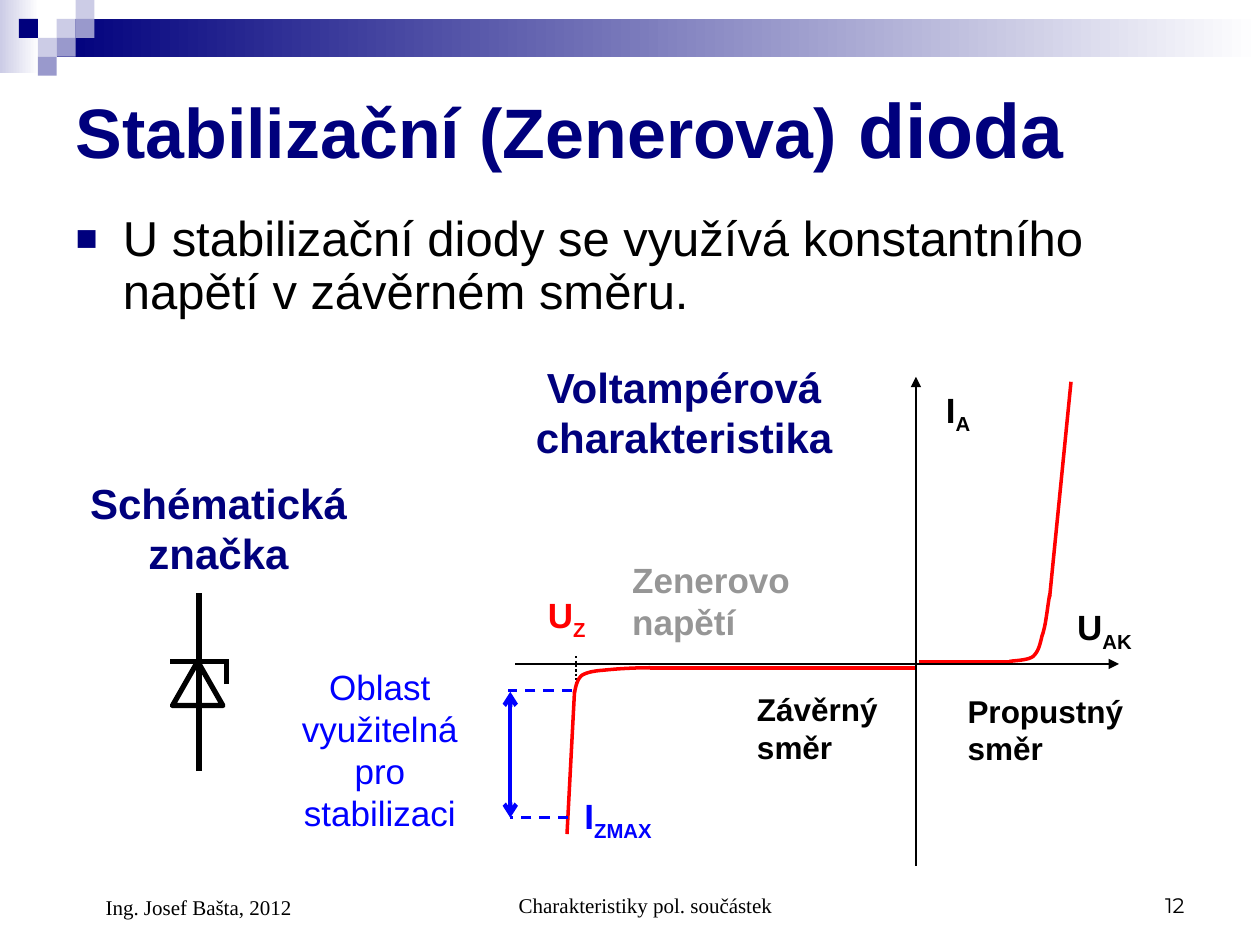
from lxml import etree
from pptx import Presentation
from pptx.dml.color import RGBColor
from pptx.enum.dml import MSO_LINE_DASH_STYLE as Dash
from pptx.enum.shapes import MSO_CONNECTOR as Connector, MSO_SHAPE as Shape
from pptx.enum.text import MSO_ANCHOR as Anchor, MSO_AUTO_SIZE as AutoSize, PP_ALIGN as Align
from pptx.oxml.ns import qn
from pptx.util import Pt

COLORS = {
    "navy": "00007D", "violet": "9999CC", "pale": "CCCCE6", "white": "FFFFFF",
    "black": "000000", "red": "FF0000", "blue": "0000FF", "gray": "969696",
}
FORMATS = {
    "title": {"name": "Arial", "size": Pt(40), "bold": True},
    "body": {"name": "Arial", "size": Pt(28), "bold": False},
    "heading": {"name": "Arial", "size": Pt(24), "bold": True},
    "label": {"name": "Arial", "size": Pt(20), "bold": True},
    "note": {"name": "Arial", "size": Pt(20), "bold": False},
    "direction": {"name": "Arial", "size": Pt(18), "bold": True},
    "footer": {"name": "Times New Roman", "size": Pt(12), "bold": False},
    "number": {"name": "Montserrat", "size": Pt(12), "bold": False},
}
CELL = 10.8


def rgb(color):
    return RGBColor.from_string(COLORS[color])


def points(values):
    return [Pt(value) for value in values]


def bezier(start, *curves, steps=8):
    """Sample a chain of cubic curves, each given by two controls and an end."""
    samples = [start]
    for first, second, end in curves:
        for step in range(1, steps + 1):
            t = step / steps
            weights = ((1 - t) ** 3, 3 * t * (1 - t) ** 2, 3 * t * t * (1 - t), t ** 3)
            knots = (start, first, second, end)
            samples.append(tuple(sum(w * knot[axis] for w, knot in zip(weights, knots))
                                 for axis in (0, 1)))
        start = end
    return samples


class SlideWriter:
    """Holds the text formats, the colours and the current slide."""

    def __init__(self, page):
        self.page = page

    def place(self, shape, at):
        for name, value in zip(("left", "top", "width", "height"), points(at)):
            setattr(shape, name, value)

    def span(self, para, text, style, color, **changes):
        span = para.add_run()
        span.text = text
        for name, value in {**FORMATS[style], **changes}.items():
            setattr(span.font, name, value)
        span.font.color.rgb = rgb(color)
        return span

    def frame(self, box, anchor, auto_size=AutoSize.NONE, align=Align.LEFT):
        settings = {"word_wrap": True, "vertical_anchor": anchor, "auto_size": auto_size}
        for name, value in settings.items():
            setattr(box.text_frame, name, value)
        para = box.text_frame.paragraphs[0]
        para.alignment = align
        para.space_before = Pt(0)
        return para

    def title(self, at, main, ending):
        box = self.page.shapes.title
        self.place(box, at)
        para = self.frame(box, Anchor.MIDDLE)
        self.span(para, main, "title", "navy")
        self.span(para, ending, "title", "navy", size=Pt(44))

    def body(self, at, text):
        box = self.page.placeholders[1]
        self.place(box, at)
        para = self.frame(box, Anchor.TOP)
        para.line_spacing = 0.9
        props = para._p.get_or_add_pPr()
        props.set("marL", str(Pt(27)))
        props.set("indent", str(Pt(-27)))
        bullet_color = etree.SubElement(props, qn("a:buClr"))
        etree.SubElement(bullet_color, qn("a:srgbClr"), val=COLORS["navy"])
        etree.SubElement(props, qn("a:buSzPct"), val="75000")
        etree.SubElement(props, qn("a:buFont"), typeface="Arial")
        etree.SubElement(props, qn("a:buChar"), char="■")
        self.span(para, text, "body", "black")

    def text(self, at, text, style, color, sub="", align=Align.LEFT):
        box = self.page.shapes.add_textbox(*points(at))
        para = self.frame(box, Anchor.TOP, AutoSize.SHAPE_TO_FIT_TEXT, align)
        self.span(para, text, style, color)
        if sub:
            lowered = self.span(para, sub, style, color)
            lowered.font._element.set("baseline", "-25000")

    def footer(self, at, text, style="footer", align=Align.LEFT, indent=0):
        box = self.page.shapes.add_textbox(*points(at))
        para = self.frame(box, Anchor.BOTTOM, align=align)
        para._p.get_or_add_pPr().set("marL", str(Pt(indent)))
        self.span(para, text, style, "black")

    def block(self, at, color, fade_to=None):
        """Draw a borderless rectangle, optionally fading to the right."""
        block = self.page.shapes.add_shape(Shape.RECTANGLE, *points(at))
        block.shadow.inherit = False
        block.line.fill.background()
        if fade_to:
            block.fill.gradient()
            block.fill.gradient_angle = 0
            for stop, name in zip(block.fill.gradient_stops, (color, fade_to)):
                stop.color.rgb = rgb(name)
        else:
            block.fill.solid()
            block.fill.fore_color.rgb = rgb(color)

    def outline(self, shape, color, width):
        shape.shadow.inherit = False
        shape.fill.background()
        shape.line.color.rgb = rgb(color)
        shape.line.width = Pt(width)

    def triangle(self, at, color, width):
        shape = self.page.shapes.add_shape(Shape.ISOSCELES_TRIANGLE, *points(at))
        self.outline(shape, color, width)

    def curve(self, samples, color, width):
        first, *others = [tuple(points(sample)) for sample in samples]
        builder = self.page.shapes.build_freeform(*first)
        builder.add_line_segments(others, close=False)
        self.outline(builder.convert_to_shape(), color, width)

    def line(self, ends, color, width, dash=None, head=None, tail=None):
        line = self.page.shapes.add_connector(Connector.STRAIGHT, *points(ends))
        line.line.color.rgb = rgb(color)
        line.line.width = Pt(width)
        if dash:
            line.line.dash_style = dash
        for tag, kind in (("a:headEnd", head), ("a:tailEnd", tail)):
            if kind:
                etree.SubElement(line.line._get_or_add_ln(), qn(tag), type=kind)
        etree.SubElement(line._element.spPr, qn("a:effectLst"))


def draw_banner(writer):
    writer.block((0, 0, 22.3, 41.8), "pale", "white")
    writer.block((32.4, CELL, 687.6, 21.6), "navy", "white")
    squares = ((3, 1, "pale"), (4, 0, "pale"), (4, 1, "violet"), (2, 2, "pale"),
               (1, 1, "navy"), (3, 2, "violet"), (2, 3, "violet"))
    for column, row, color in squares:
        writer.block((column * CELL, row * CELL, CELL, CELL), color)


def draw_characteristic(writer):
    writer.line((329, 375, 329, 390), "black", 1.25, Dash.ROUND_DOT)
    writer.text((306, 335.5, 45.4, 34.6), "U", "label", "red", "Z")

    for ends in ((612, 218.2, 599.8, 341.3), (524.9, 378, 577.4, 378),
                 (324, 476.6, 328.3, 395.3), (522.7, 381.6, 371.5, 381.6)):
        writer.line(ends, "red", 2)
    forward = bezier((599.8, 339.8), ((598.3, 348.5), (597.6, 357.8), (595.4, 363.6)),
                     ((594, 369.4), (593.3, 372.2), (590.4, 375.1)),
                     ((587.5, 377.3), (581.8, 377.3), (576.7, 378)))
    reverse = bezier((371.5, 381.6), ((361.4, 381.6), (351.4, 382.3), (344.9, 383)),
                     ((338.4, 383.5), (334.8, 384.5), (332.6, 385.9)),
                     ((329.8, 388.1), (329, 392.4), (328.3, 396)))
    for samples in (forward, reverse):
        writer.curve(samples, "red", 2)

    for ends in ((294.5, 379.4, 639.4, 379.4), (523.4, 494.6, 523.4, 215.3)):
        writer.line(ends, "black", 1.5, tail="triangle")
    writer.text((608.4, 342.7, 57.6, 34.6), "U", "label", "black", "AK")
    writer.text((533.5, 218.2, 36, 34.6), "I", "label", "black", "A")
    writer.text((425.5, 391, 86.4, 50.4), "Závěrný směr", "direction", "black")
    writer.text((545.8, 391.7, 105.8, 50.4), "Propustný směr", "direction", "black")


def draw_usable_range(writer):
    for ends in ((326.9, 394.6, 290.2, 394.6), (324.7, 467.3, 291.6, 467.3)):
        writer.line(ends, "blue", 1.5, Dash.DASH)
    writer.line((291.6, 395.3, 291.6, 467.3), "blue", 2.5, head="arrow", tail="arrow")
    writer.text((326.9, 450.7, 77, 34.6), "I", "label", "blue", "ZMAX")
    writer.text((160.6, 376.6, 113, 103.7), "Oblast využitelná pro stabilizaci",
                "note", "blue", align=Align.CENTER)


def draw_diode_symbol(writer):
    writer.triangle((98.6, 378, 28.8, 25.2), "black", 3)
    for ends in ((113.8, 440.6, 113.8, 339.1), (131, 378, 97.2, 378), (129.6, 391, 129.6, 377.3)):
        writer.line(ends, "black", 3)


def main():
    deck = Presentation()
    deck.slide_width, deck.slide_height = Pt(720), Pt(540)
    writer = SlideWriter(deck.slides.add_slide(deck.slide_layouts[1]))
    draw_banner(writer)
    writer.title((36, 36, 648, 74.2), "Stabilizační (Zenerova)", " dioda")
    writer.body((36, 118.8, 648, 68.4),
                "U stabilizační diody se využívá konstantního napětí v závěrném směru.")
    draw_characteristic(writer)
    draw_usable_range(writer)
    draw_diode_symbol(writer)
    for at, heading in (((280.8, 203, 220.3, 64.8), "Voltampérová charakteristika"),
                        ((43.2, 269.3, 163.4, 64.8), "Schématická značka")):
        writer.text(at, heading, "heading", "navy", align=Align.CENTER)
    writer.text((354.2, 315.4, 124.6, 55.4), "Zenerovo napětí", "label", "gray")
    writer.footer((246.2, 491.8, 228.2, 36), "Charakteristiky pol. součástek",
                  align=Align.CENTER, indent=17.3)
    writer.footer((516.2, 491.8, 167.8, 36), "12", "number", Align.RIGHT)
    writer.footer((36, 491.8, 167.8, 37.4), "Ing. Josef Bašta, 2012", indent=17.3)
    deck.save("out.pptx")


if __name__ == "__main__":
    main()
